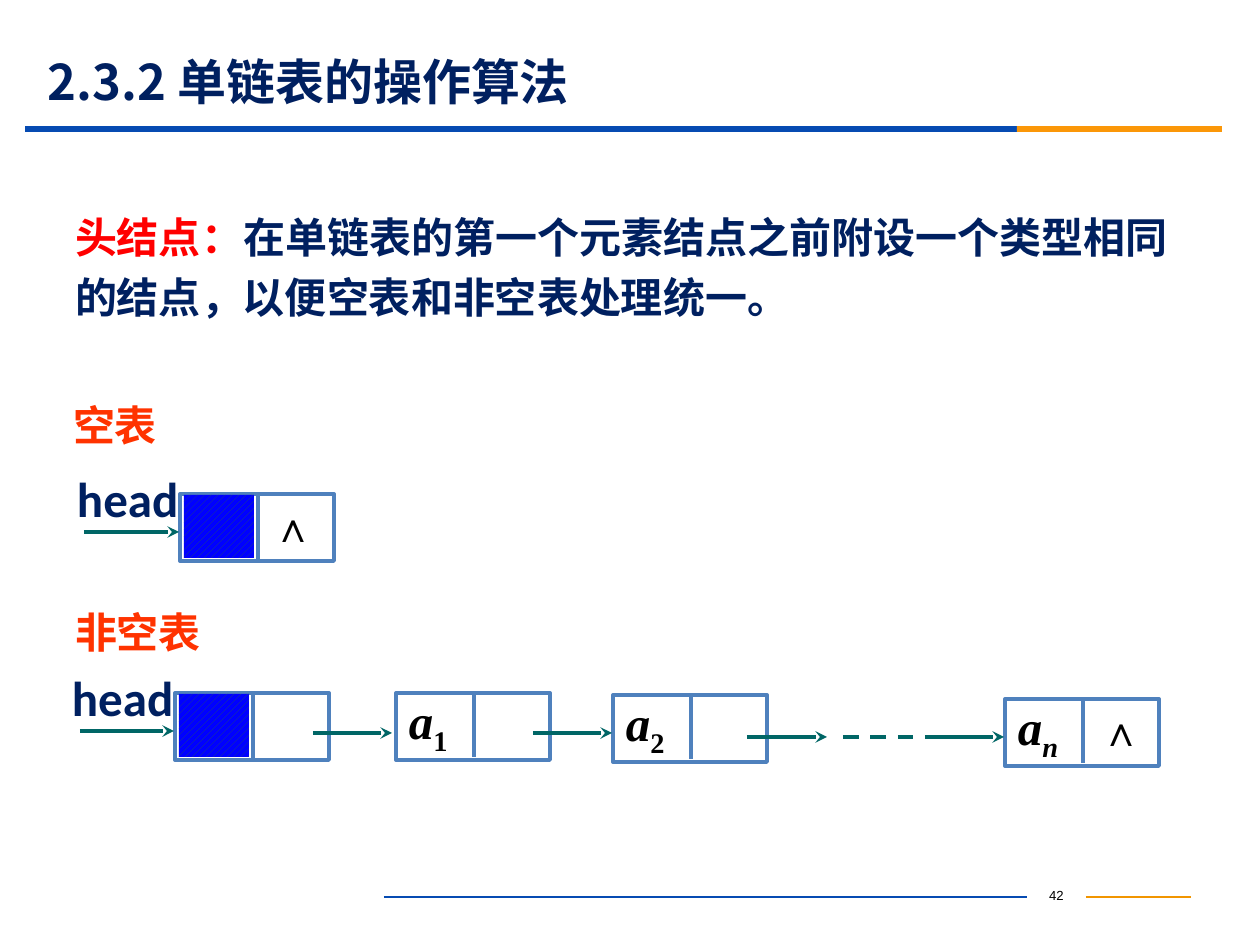
from lxml import etree
from pptx import Presentation
from pptx.dml.color import RGBColor
from pptx.enum.dml import MSO_LINE, MSO_PATTERN
from pptx.enum.shapes import MSO_CONNECTOR, MSO_SHAPE
from pptx.enum.text import MSO_ANCHOR, PP_ALIGN
from pptx.oxml.ns import qn
from pptx.util import Emu, Pt

SCALE = 914400 / 126
CJK = "Noto Sans CJK SC"
SERIF = "Times New Roman"
NAVY, BLUE, ORANGE, TEAL, STEEL = "002060", "064BB2", "FB9708", "006666", "4F81BD"
color = RGBColor.from_string

presentation = Presentation()
presentation.slide_width = Emu(round(1260 * SCALE))
presentation.slide_height = Emu(round(945 * SCALE))
slide = presentation.slides.add_slide(presentation.slide_layouts[6])
shapes = slide.shapes


def write_text(shape, runs, margins=(13, 6, 13, 6), anchor=MSO_ANCHOR.TOP, wrap=True, **layout):
    frame = shape.text_frame
    frame.word_wrap = wrap
    frame.vertical_anchor = anchor
    for side, margin in zip(("left", "top", "right", "bottom"), margins):
        setattr(frame, f"margin_{side}", Emu(round(margin * SCALE)))
    paragraph = frame.paragraphs[0]
    for name, value in ({"alignment": PP_ALIGN.LEFT} | layout).items():
        setattr(paragraph, name, value)
    for text, rgb, values in runs:
        run = paragraph.add_run()
        run.text = text
        run.font.color.rgb = color(rgb)
        values = dict(values)
        baseline = values.pop("baseline", None)
        for name, value in values.items():
            setattr(run.font, name, value)
        properties = run._r.get_or_add_rPr()
        if baseline:
            properties.set("baseline", baseline)
        if any("一" <= letter <= "鿿" for letter in text):
            east_asian = etree.SubElement(properties, qn("a:ea"))
            east_asian.set("typeface", CJK)


def add_line(start_x, start_y, end_x, end_y, rgb, width=2.25, arrow=False, dash=None):
    points = [Emu(round(value * SCALE)) for value in (start_x, start_y, end_x, end_y)]
    connector = shapes.add_connector(MSO_CONNECTOR.STRAIGHT, *points)
    connector.line.color.rgb = color(rgb)
    connector.line.width = Pt(width)
    if dash:
        connector.line.dash_style = dash
    if arrow:
        tail = etree.SubElement(connector.line._get_or_add_ln(), qn("a:tailEnd"))
        tail.set("type", "stealth")
    etree.SubElement(connector._element.spPr, qn("a:effectLst"))


# Rule under the title
for left, width, rgb in ((25, 992, BLUE), (1017, 205, ORANGE)):
    bar = shapes.add_shape(
        MSO_SHAPE.RECTANGLE, *[Emu(round(value * SCALE)) for value in (left, 126, width, 6)])
    bar.shadow.inherit = False
    bar.fill.solid()
    bar.fill.fore_color.rgb = color(rgb)
    bar.line.fill.background()

# Footer lines
add_line(384, 897, 1027, 897, BLUE, 0.75)
add_line(1086, 897, 1191, 897, "F19500", 0.75)

# Title, definition, captions and page number
title_format = {"size": Pt(28), "name": CJK, "bold": True}
body_format = title_format | {"size": Pt(24)}
caption_format = body_format | {"name": SERIF}
head_format = title_format | {"name": "Calibri"}
wedge_format = caption_format
page_format = {"size": Pt(7.5), "name": "Arial"}
definition = [
    ("头结点：", "FF0000", body_format),
    ("在", NAVY, caption_format),
    ("单链表的第一个元素结点之前附设一个类型相同的结点，以便空表和非空表处理统一。", NAVY, body_format),
]
wedge = [("∧", "000000", wedge_format)]
head = [("head", NAVY, head_format)]
head_layout = {"margins": (0, 0, 0, 5), "wrap": False}
texts = [
    ((35, 54, 1134, 54), [("2.3.2 单链表的操作算法", NAVY, title_format)],
     {"anchor": MSO_ANCHOR.MIDDLE}),
    ((62, 195, 1152, 130), definition, {"line_spacing": 1.2}),
    ((60, 394, 336, 64), [("空表", "FF3300", caption_format)], {}),
    ((62, 601, 336, 63), [("非空表", "FF3300", caption_format)], {}),
    ((77, 469, 105, 64), head, head_layout),
    ((72, 668, 105, 64), head, head_layout),
    ((260, 495, 72, 62), wedge, {}),
    ((1087, 699, 72, 62), wedge, {}),
    ((1027, 881, 59, 31), [("42", "000000", page_format)], {"alignment": PP_ALIGN.CENTER}),
]
for box, runs, layout in texts:
    text_box = shapes.add_textbox(*[Emu(round(value * SCALE)) for value in box])
    write_text(text_box, runs, **layout)

# List nodes: a data cell and a link cell; header nodes have a hatched data cell
NODE_WIDTH, NODE_HEIGHT, DATA_WIDTH = 154, 67, 78
element_format = {"size": Pt(28), "name": SERIF, "bold": True, "italic": True}
nodes = [
    (180, 494, None),
    (175, 693, None),
    (396, 693, "1"),
    (613, 695, "2"),
    (1005, 699, "n"),
]
for left, top, index in nodes:
    node = shapes.add_shape(
        MSO_SHAPE.RECTANGLE,
        *[Emu(round(value * SCALE)) for value in (left, top, NODE_WIDTH, NODE_HEIGHT)])
    node.shadow.inherit = False
    node.fill.background()
    node.line.color.rgb = color(STEEL)
    node.line.width = Pt(2.25)
    divider = left + DATA_WIDTH
    divider_bottom = top + NODE_HEIGHT - (3 if index else 0)
    add_line(divider, top, divider, divider_bottom, STEEL)
    if index:
        index_format = element_format | {"italic": index == "n", "baseline": "-25000"}
        runs = [("a", "000000", element_format), (index, "000000", index_format)]
        write_text(node, runs, (13, 0, 0, 10), MSO_ANCHOR.MIDDLE, line_spacing=0.9)
    else:
        hatch = shapes.add_shape(
            MSO_SHAPE.RECTANGLE,
            *[Emu(round(value * SCALE)) for value in (left + 4, top + 1, 70, 63)])
        hatch.shadow.inherit = False
        hatch.fill.patterned()
        hatch.fill.pattern = MSO_PATTERN.WIDE_UPWARD_DIAGONAL
        hatch.fill.fore_color.rgb = color("1F497D")
        hatch.fill.back_color.rgb = color("0000FF")
        hatch.line.fill.background()

# Head pointers and links between nodes
for left, right, height in ((84, 179, 532), (80, 174, 731), (313, 392, 733),
                            (533, 612, 733), (747, 827, 737), (925, 1004, 737)):
    add_line(left, height, right, height, TEAL, arrow=True)
add_line(843, 737, 920, 737, TEAL, dash=MSO_LINE.DASH)

presentation.save("out.pptx")
